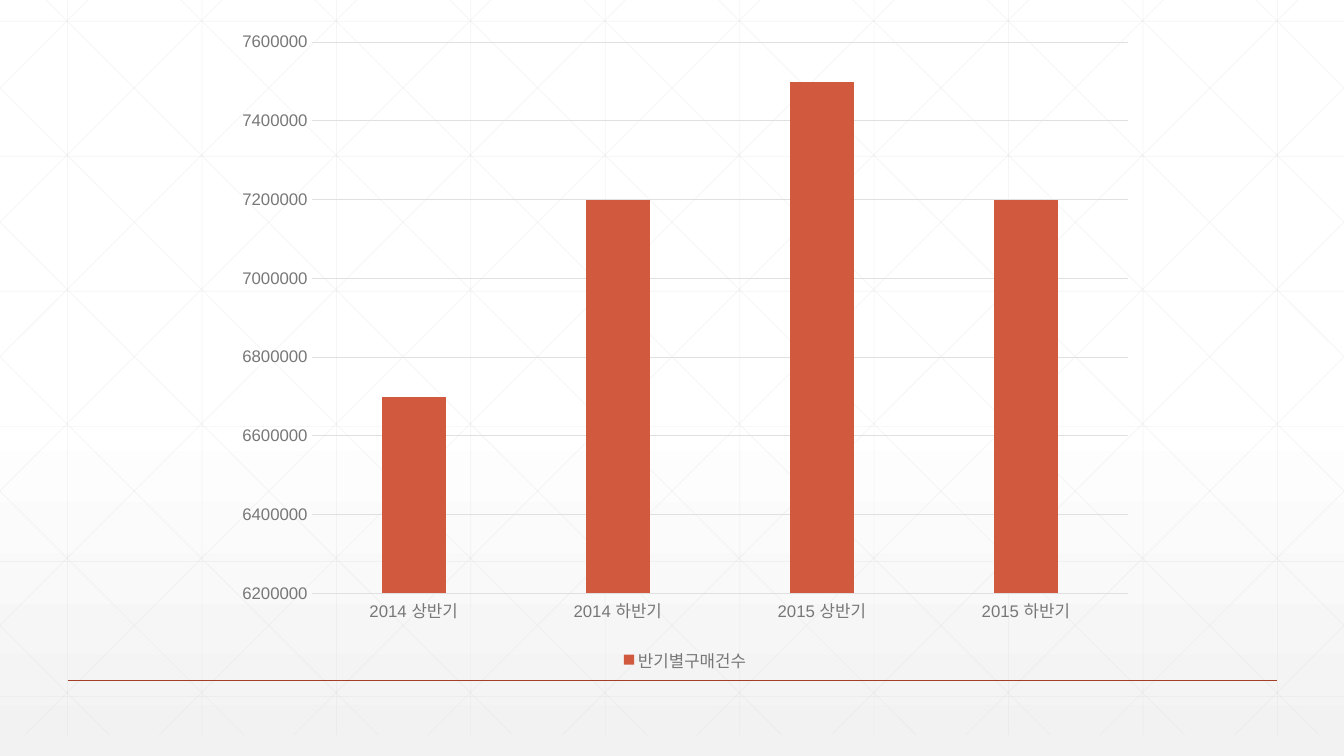
from lxml.etree import SubElement
from pptx import Presentation
from pptx.chart.data import CategoryChartData
from pptx.dml.color import RGBColor
from pptx.enum.chart import XL_CHART_TYPE, XL_LEGEND_POSITION, XL_TICK_MARK
from pptx.enum.shapes import MSO_CONNECTOR
from pptx.oxml.ns import qn
from pptx.util import Inches, Pt

WIDTH, HEIGHT = 13.33, 7.5
PITCH = 4 / 3


def rgb(value):
    """Turn a hex string into a colour."""
    return RGBColor.from_string(value)


def set_font(font, size, color):
    """Apply the chart typeface, size and colour."""
    font.name, font.size = "Arial", Pt(size)
    font.color.rgb = rgb(color)


def set_line(line, color, width):
    """Style a solid line."""
    line.color.rgb = rgb(color)
    line.width = Pt(width)


def add_line(shapes, start, end, color, width, alpha=None):
    """Draw a straight line without shadow, optionally translucent."""
    c = shapes.add_connector(MSO_CONNECTOR.STRAIGHT,
                             *(Inches(v) for v in (*start, *end)))
    set_line(c.line, color, width)
    if alpha is not None:
        clr = c.line._ln.find(".//" + qn("a:srgbClr"))
        SubElement(clr, qn("a:alpha")).set("val", str(alpha * 1000))
    SubElement(c._element.spPr, qn("a:effectLst"))


def add_background(s):
    """Fill the slide with a white to pale grey gradient."""
    fill = s.background.fill
    fill.gradient()
    fill.gradient_angle = 270
    for stop, pos, color in zip(fill.gradient_stops, (0.53, 1), ("FFFFFF", "F2F2F2")):
        stop.position = pos
        stop.color.rgb = rgb(color)


def add_lattice(s, width, height):
    """Cover the box from the slide's corner with a faint lattice."""
    lines = [((0.67 + i * PITCH, 0), (0.67 + i * PITCH, height)) for i in range(10)]
    lines += [((0, 0.21 + i * 1.34), (width, 0.21 + i * 1.34)) for i in range(6)]
    for i in range(-5, 10):
        x = 0.46 + i * PITCH
        top, bottom = max(0, -x), min(height, width - x)
        lines.append(((x + top, top), (x + bottom, bottom)))
        lines.append(((width - x - top, top), (width - x - bottom, bottom)))
    group = s.shapes.add_group_shape()
    for start, end in lines:
        add_line(group.shapes, start, end, "D9D9D9", 0.5, 25)


def add_purchase_chart(s, left, top, width, height):
    """Place the column chart of purchases per half year."""
    data = CategoryChartData()
    data.categories = ["2014 상반기", "2014 하반기", "2015 상반기", "2015 하반기"]
    data.add_series("반기별구매건수", (6700000, 7200000, 7500000, 7200000))
    chart = s.shapes.add_chart(
        XL_CHART_TYPE.COLUMN_CLUSTERED,
        *(Inches(v) for v in (left, top, width, height)), data).chart
    set_font(chart.font, 10, "2D2E2D")
    chart.has_title = False
    chart.has_legend = True
    chart.legend.position = XL_LEGEND_POSITION.BOTTOM
    chart.legend.include_in_layout = False
    set_font(chart.legend.font, 12, "767876")

    plot = chart.plots[0]
    plot.gap_width, plot.overlap = 219, -27
    plot.vary_by_categories = False
    fill = plot.series[0].format.fill
    fill.solid()
    fill.fore_color.rgb = rgb("D15A3E")

    cat, val = chart.category_axis, chart.value_axis
    for axis in (cat, val):
        axis.major_tick_mark = axis.minor_tick_mark = XL_TICK_MARK.NONE
        set_font(axis.tick_labels.font, 12, "767876")
    set_line(cat.format.line, "DFE0DF", 0.75)
    val.format.line.fill.background()
    set_line(val.major_gridlines.format.line, "DFE0DF", 0.75)
    val.minimum_scale, val.maximum_scale = 6200000, 7600000
    val.major_unit = 200000


def main():
    """Build and save the slide."""
    prs = Presentation()
    prs.slide_width, prs.slide_height = Inches(WIDTH), Inches(HEIGHT)
    s = prs.slides.add_slide(prs.slide_layouts[6])
    add_background(s)
    add_lattice(s, WIDTH, 7.29)
    add_line(s.shapes, (0.67, 6.75), (12.67, 6.75), "A43F27", 1)
    add_purchase_chart(s, 2.22, 0.2, 9.15, 6.51)
    prs.save("out.pptx")


if __name__ == "__main__":
    main()
